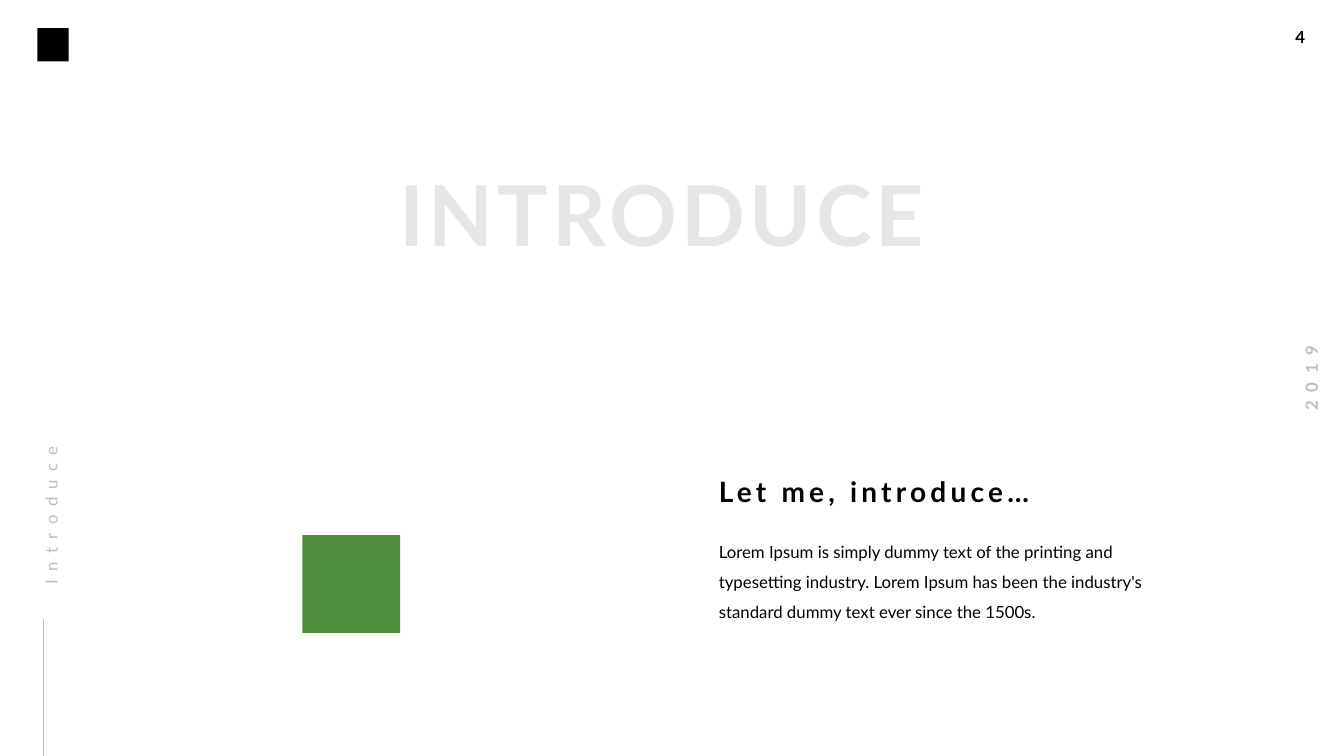
from lxml import etree
from pptx import Presentation
from pptx.dml.color import RGBColor
from pptx.enum import shapes, text
from pptx.oxml.ns import qn
from pptx.util import Inches, Pt

BLACK, GREY, PALE, GREEN = "000000", "BFBFBF", "E6E6E6", "4E8D39"
FLUSH = (0, 0, 0.1, 0)
PADDED = (0.1, 0.05, 0.1, 0.05)


def colour(value):
    return RGBColor.from_string(value)


class SlideBuilder:
    font = "Lato"

    def __init__(self, slide):
        self.shapes = slide.shapes

    def label(self, words, left, top, width, height, size=12, fill=BLACK,
              bold=False, tracking=0, insets=PADDED, align=text.PP_ALIGN.LEFT,
              line_spacing=None, before=0, rotation=0, wrap=True):
        """Add a one-paragraph text box; tracking is letter spacing in points."""
        box = self.shapes.add_textbox(Inches(left), Inches(top), Inches(width), Inches(height))
        box.rotation = rotation
        frame = box.text_frame
        frame.word_wrap = wrap
        frame.auto_size = text.MSO_AUTO_SIZE.SHAPE_TO_FIT_TEXT
        (frame.margin_left, frame.margin_top,
         frame.margin_right, frame.margin_bottom) = map(Inches, insets)
        para = frame.paragraphs[0]
        para.alignment = align
        para.line_spacing = line_spacing
        para.space_before = Pt(before)
        para.font.name = self.font
        para.font.size = Pt(size)
        para.font.bold = bold
        para.font.color.rgb = colour(fill)
        span = para.add_run()
        span.text = words
        if tracking:
            span.font._element.set("spc", str(tracking * 100))

    def block(self, left, top, width, height, fill):
        block = self.shapes.add_shape(
            shapes.MSO_SHAPE.RECTANGLE, Inches(left), Inches(top), Inches(width), Inches(height))
        block.shadow.inherit = False
        block.fill.solid()
        block.fill.fore_color.rgb = colour(fill)
        block.line.fill.background()

    def rule(self, x1, y1, x2, y2, fill, weight):
        rule = self.shapes.add_connector(
            shapes.MSO_CONNECTOR.STRAIGHT, Inches(x1), Inches(y1), Inches(x2), Inches(y2))
        rule.line.color.rgb = colour(fill)
        rule.line.width = Pt(weight)
        etree.SubElement(rule._element.spPr, qn("a:effectLst"))


def main():
    deck = Presentation()
    deck.slide_width, deck.slide_height = Inches(13.33), Inches(7.5)
    page = SlideBuilder(deck.slides.add_slide(deck.slide_layouts[6]))
    center = text.PP_ALIGN.CENTER

    # Page furniture
    page.label("4", 12.75, 0.22, 0.41, 0.3, bold=True, wrap=False)
    page.label("2019", 12.54, 3.6, 0.93, 0.3, fill=GREY, bold=True, tracking=6,
               align=center, rotation=270, wrap=False)
    page.block(0.37, 0.28, 0.31, 0.33, BLACK)
    page.rule(0.43, 7.5, 0.43, 6.14, GREY, 0.5)
    page.label("Introduce", -0.49, 4.74, 1.85, 0.26, fill=GREY, tracking=6,
               insets=FLUSH, line_spacing=1.5, before=12, rotation=270)

    # Content
    page.label("INTRODUCE", 3.57, 1.56, 6, 1.1, size=60, fill=PALE, bold=True,
               tracking=3, align=center)
    page.block(3, 5.31, 0.97, 0.97, GREEN)
    page.label("Lorem Ipsum is simply dummy text of the printing and typesetting industry. "
               "Lorem Ipsum has been the industry's standard dummy text ever since the 1500s.",
               7.13, 5.27, 4.33, 0.87, insets=FLUSH, line_spacing=1.5, before=12)
    page.label("Let me, introduce…", 7.13, 4.71, 3.5, 0.34, size=20, bold=True,
               tracking=3, insets=FLUSH, before=12)

    deck.save("out.pptx")


if __name__ == "__main__":
    main()
